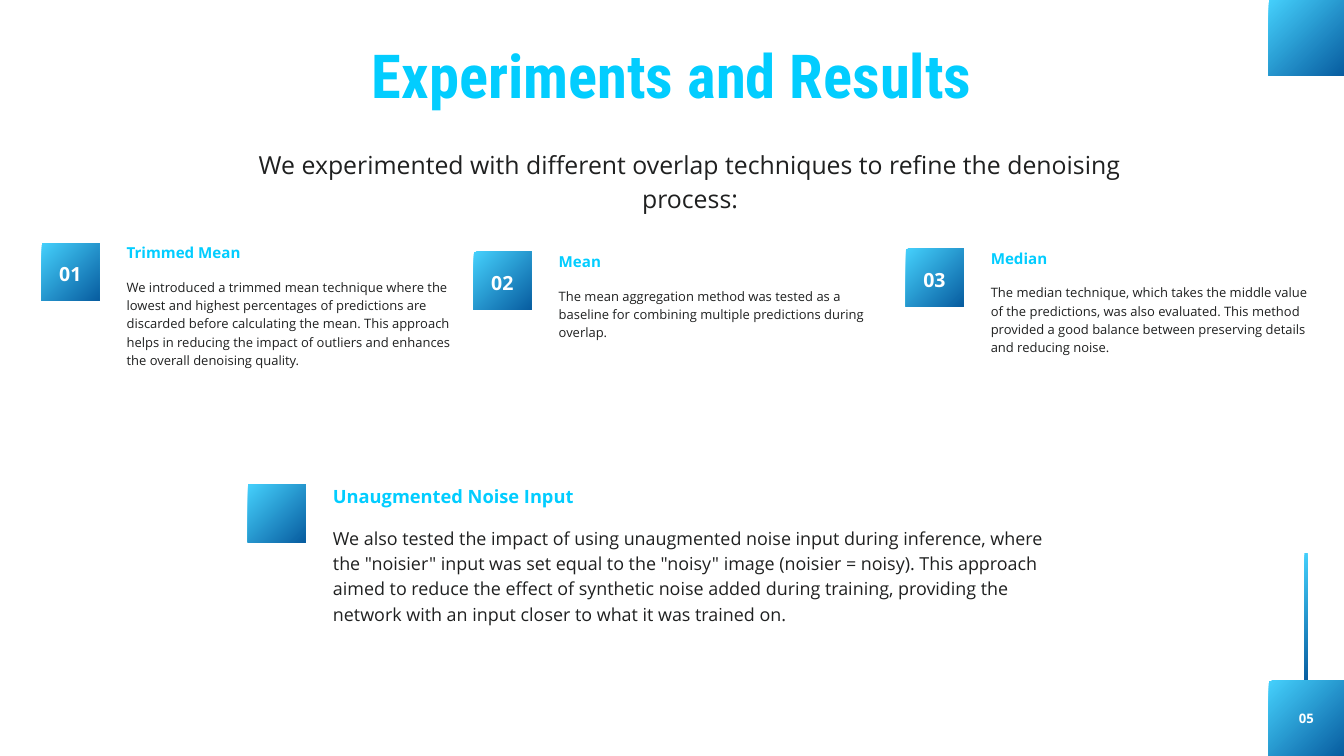
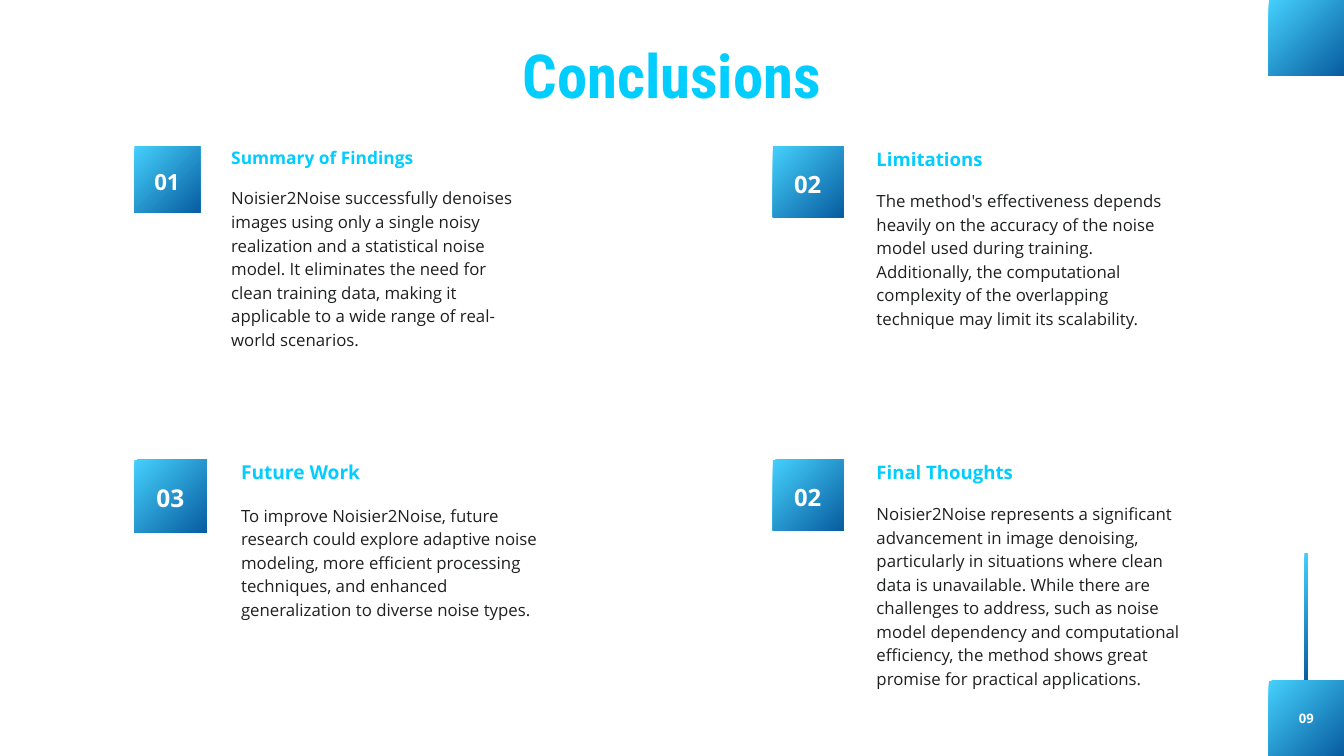
from dataclasses import dataclass

from pptx import Presentation
from pptx.dml.color import RGBColor
from pptx.enum.shapes import MSO_SHAPE
from pptx.enum.text import MSO_AUTO_SIZE, PP_ALIGN
from pptx.util import Inches, Pt

SKY = RGBColor(0x45, 0xD0, 0xFC)
NAVY = RGBColor(0x08, 0x5D, 0xA0)
CYAN = RGBColor(0x02, 0xCD, 0xFF)
INK = RGBColor(0x1F, 0x20, 0x20)
WHITE = RGBColor(0xFF, 0xFF, 0xFF)
BODY_FONT = "Open Sans"
TITLE_FONT = "Roboto Condensed"
SLIDE_WIDTH, SLIDE_HEIGHT = 20, 11.25
CORNER = 1.12


@dataclass
class Item:
    """A heading and body text beside a square marker."""

    number: str
    heading: str
    body: str
    left: float
    top: float
    lines: int
    square: float = 0.86
    heading_size: float = 16.2
    heading_width: float = 2.55
    body_size: float = 13.9
    body_width: float = 4.87
    body_drop: float = 0.5


TECHNIQUES = [
    ("Trimmed Mean", 3.62, 5,
     "We introduced a trimmed mean technique where the lowest and highest "
     "percentages of predictions are discarded before calculating the mean. "
     "This approach helps in reducing the impact of outliers and enhances "
     "the overall denoising quality."),
    ("Mean", 3.75, 3,
     "The mean aggregation method was tested as a baseline for combining "
     "multiple predictions during overlap."),
    ("Median", 3.7, 4,
     "The median technique, which takes the middle value of the predictions, "
     "was also evaluated. This method provided a good balance between "
     "preserving details and reducing noise."),
]

UNAUGMENTED = Item(
    "", "Unaugmented Noise Input",
    "We also tested the impact of using unaugmented noise input during "
    "inference, where the \"noisier\" input was set equal to the \"noisy\" "
    "image (noisier = noisy). This approach aimed to reduce the effect of "
    "synthetic noise added during training, providing the network with an "
    "input closer to what it was trained on.",
    3.69, 7.21, 4, heading_size=19.6, heading_width=4.02,
    body_size=19.2, body_width=10.65, body_drop=0.59)

LEFT_COLUMN, RIGHT_COLUMN = 2, 11.5
TOP_ROW, BOTTOM_ROW = 2.18, 6.84
CONCLUSIONS = [
    Item("01", "Summary of Findings",
         "Noisier2Noise successfully denoises images using only a single "
         "noisy realization and a statistical noise model. It eliminates the "
         "need for clean training data, making it applicable to a wide range "
         "of real-world scenarios.",
         LEFT_COLUMN, TOP_ROW, 7, 0.98, 18.6, 2.92, 18, 4.29, 0.57),
    Item("02", "Limitations",
         "The method's effectiveness depends heavily on the accuracy of the "
         "noise model used during training. Additionally, the computational "
         "complexity of the overlapping technique may limit its scalability.",
         RIGHT_COLUMN, TOP_ROW, 6, 1.05, 19.9, 4.77, 18, 4.6, 0.61),
    Item("03", "Future Work",
         "To improve Noisier2Noise, future research could explore adaptive "
         "noise modeling, more efficient processing techniques, and enhanced "
         "generalization to diverse noise types.",
         LEFT_COLUMN, BOTTOM_ROW, 5, 1.08, 20.5, 5.37, 18, 4.73, 0.63),
    Item("02", "Final Thoughts",
         "Noisier2Noise represents a significant advancement in image "
         "denoising, particularly in situations where clean data is "
         "unavailable. While there are challenges to address, such as noise "
         "model dependency and computational efficiency, the method shows "
         "great promise for practical applications.",
         RIGHT_COLUMN, BOTTOM_ROW, 8, 1.05, 19.9, 4.77, 18, 4.6, 0.61),
]


class Report:
    """Holds the deck style and the current slide."""

    def __init__(self):
        self.deck = Presentation()
        self.deck.slide_width = Inches(SLIDE_WIDTH)
        self.deck.slide_height = Inches(SLIDE_HEIGHT)
        self.slide = None

    def page(self, title, title_width, number):
        """Start a slide with its corner squares, page number and title."""
        self.slide = self.deck.slides.add_slide(self.deck.slide_layouts[6])
        edge = SLIDE_WIDTH - CORNER
        self.block(19.41, 8.23, 0.05, 1.9)
        for top in (0, SLIDE_HEIGHT - CORNER):
            self.block(edge, top, CORNER, CORNER)
        self.text(number, 19.14, 10.54, 0.6, 14, WHITE, True, PP_ALIGN.CENTER)
        self.text(title, (SLIDE_WIDTH - title_width) / 2, 0.66, title_width,
                  65, CYAN, True, PP_ALIGN.CENTER, TITLE_FONT, spacing=1.1)

    def block(self, left, top, width, height):
        """Draw a rectangle with the diagonal blue gradient."""
        shape = self.slide.shapes.add_shape(
            MSO_SHAPE.RECTANGLE, Inches(left), Inches(top), Inches(width), Inches(height))
        shape.shadow.inherit = False
        shape.line.fill.background()
        shape.fill.gradient()
        shape.fill.gradient_angle = 315
        for stop, color, position in zip(shape.fill.gradient_stops, (SKY, NAVY), (0, 1)):
            stop.color.rgb = color
            stop.position = position

    def text(self, words, left, top, width, size, color=INK, bold=False,
             align=PP_ALIGN.LEFT, font=BODY_FONT, lines=1, spacing=1.4):
        """Write one paragraph in a box without margins."""
        height = lines * size * (spacing - 0.04) / 72
        box = self.slide.shapes.add_textbox(
            Inches(left), Inches(top), Inches(width), Inches(height))
        frame = box.text_frame
        frame.word_wrap = True
        frame.auto_size = MSO_AUTO_SIZE.SHAPE_TO_FIT_TEXT
        frame.margin_left = frame.margin_right = 0
        frame.margin_top = frame.margin_bottom = 0
        para = frame.paragraphs[0]
        para.alignment = align
        para.line_spacing = Pt(round(size * spacing, 1))
        span = para.add_run()
        span.text = words
        span.font.name = font
        span.font.size = Pt(size)
        span.font.bold = bold
        span.font.color.rgb = color

    def item(self, item):
        """Draw a marker square with its number, heading and body."""
        side = item.square
        text_left = item.left + 1.47 * side
        self.block(item.left, item.top, side, side)
        if item.number:
            self.text(item.number, item.left + 0.13 * side, item.top + 0.26 * side,
                      0.73 * side, round(24.3 * side, 1), WHITE, True, PP_ALIGN.CENTER)
        self.text(item.heading, text_left, item.top - 0.04, item.heading_width,
                  item.heading_size, CYAN, True)
        self.text(item.body, text_left, item.top + item.body_drop, item.body_width,
                  item.body_size, lines=item.lines)


def main():
    """Build both slides and save the deck."""
    report = Report()
    report.page("Experiments and Results", 9.89, "05")
    report.text("We experimented with different overlap techniques to refine "
                "the denoising process:", 3.09, 2.15, 14.36, 26.6,
                align=PP_ALIGN.CENTER)
    for index, (heading, top, lines, body) in enumerate(TECHNIQUES):
        report.item(Item(f"{index + 1:02}", heading, body,
                         0.62 + 6.43 * index, top, lines))
    report.item(UNAUGMENTED)

    report.page("Conclusions", 4.51, "09")
    for conclusion in CONCLUSIONS:
        report.item(conclusion)
    report.deck.save("out.pptx")


if __name__ == "__main__":
    main()
